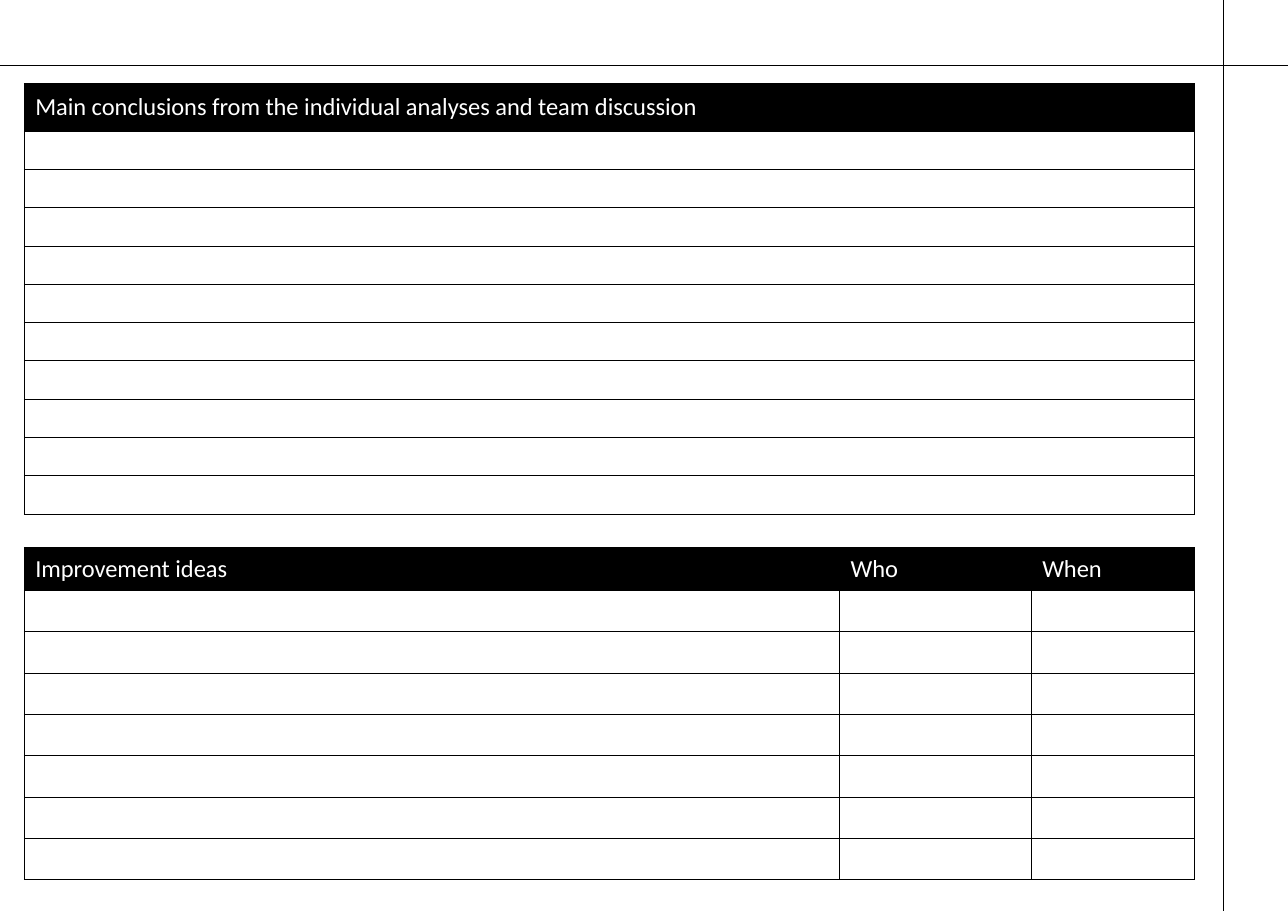
from lxml import etree
from pptx import Presentation
from pptx.dml.color import RGBColor
from pptx.enum.shapes import MSO_CONNECTOR
from pptx.enum.text import MSO_ANCHOR
from pptx.oxml.ns import qn
from pptx.util import Inches, Pt

STRAIGHT = MSO_CONNECTOR.STRAIGHT
MIDDLE = MSO_ANCHOR.MIDDLE
COLOURS = {"ink": "000000", "paper": "FFFFFF"}
FONT = "Calibri"
LINE_WIDTH = Pt(0.5)
PAGE_WIDTH, PAGE_HEIGHT = 11.69, 8.27
TABLE_LEFT = 0.22


def colour(name):
    """Return the named colour."""
    return RGBColor.from_string(COLOURS[name])


def add_rule(page, start, end):
    """Draw a thin straight line across the page."""
    rule = page.shapes.add_connector(STRAIGHT, *map(Inches, start + end))
    rule.line.color.rgb = colour("ink")
    rule.line.width = LINE_WIDTH
    etree.SubElement(rule._element.spPr, qn("a:effectLst"))


def add_borders(cell):
    """Give a cell a thin border on every side."""
    properties = cell._tc.get_or_add_tcPr()
    for side in ("lnL", "lnR", "lnT", "lnB"):
        border = etree.SubElement(properties, qn(f"a:{side}"), w=str(LINE_WIDTH))
        fill = etree.SubElement(border, qn("a:solidFill"))
        etree.SubElement(fill, qn("a:srgbClr"), val=COLOURS["ink"])


def style_cell(cell, fill_name):
    """Set the border, fill and anchor of a cell."""
    add_borders(cell)
    cell.fill.solid()
    cell.fill.fore_color.rgb = colour(fill_name)
    cell.vertical_anchor = MIDDLE


def fill_heading(cell, text):
    """Write a heading in white on black."""
    style_cell(cell, "ink")
    cell.text_frame.text = text
    font = cell.text_frame.paragraphs[0].runs[0].font
    font.name = FONT
    font.size = Pt(16)
    font.color.rgb = colour("paper")


def fill_blank(cell):
    """Leave a white cell with small text so the row keeps its height."""
    style_cell(cell, "paper")
    paragraph = cell.text_frame.paragraphs[0]
    etree.SubElement(paragraph._p, qn("a:endParaRPr"), sz="1200")


def add_form(page, top, headings, widths, heading_height, row_height, blank_rows):
    """Add a table with a heading row and blank rows to write in."""
    heights = [heading_height] + [row_height] * blank_rows
    frame = page.shapes.add_table(
        len(heights), len(widths), Inches(TABLE_LEFT), Inches(top),
        Inches(sum(widths)), Inches(sum(heights)))
    table = frame.table
    table.first_row = False
    table.horz_banding = False
    for column, width in zip(table.columns, widths):
        column.width = Inches(width)
    for row, height in zip(table.rows, heights):
        row.height = Inches(height)
    for index, heading in enumerate(headings):
        fill_heading(table.cell(0, index), heading)
        for row_index in range(1, len(heights)):
            fill_blank(table.cell(row_index, index))


def main():
    """Build the team discussion form."""
    deck = Presentation()
    deck.slide_width = Inches(PAGE_WIDTH)
    deck.slide_height = Inches(PAGE_HEIGHT)
    page = deck.slides.add_slide(deck.slide_layouts[6])
    add_rule(page, (11.1, PAGE_HEIGHT), (11.1, 0))
    add_form(page, 4.97, ["Improvement ideas", "Who", "When"],
             [7.4, 1.74, 1.48], 0.39, 0.375, 7)
    add_rule(page, (PAGE_WIDTH, 0.59), (0, 0.59))
    add_form(page, 0.76,
             ["Main conclusions from the individual analyses and team discussion"],
             [10.62], 0.43, 0.348, 10)
    deck.save("out.pptx")


if __name__ == "__main__":
    main()
